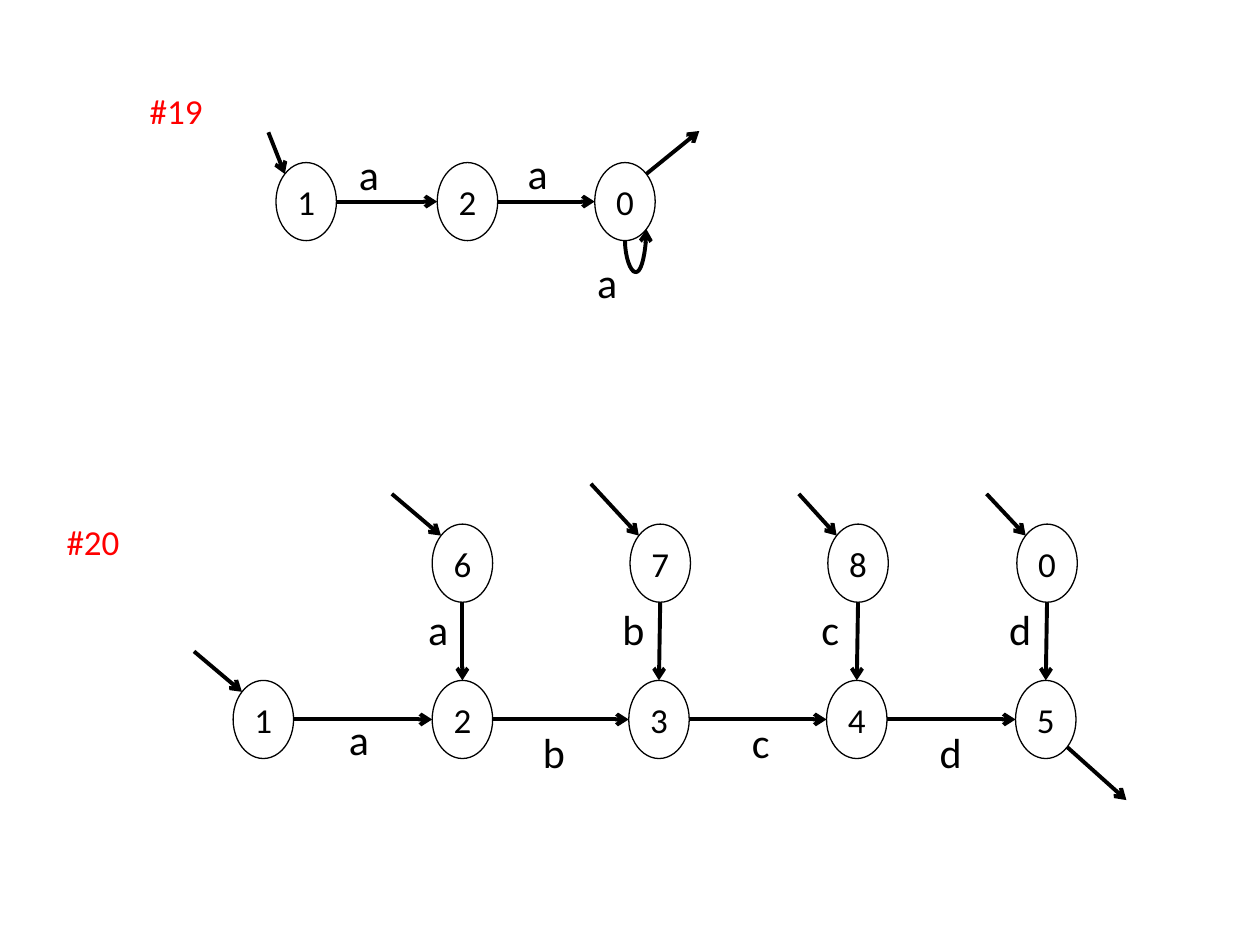
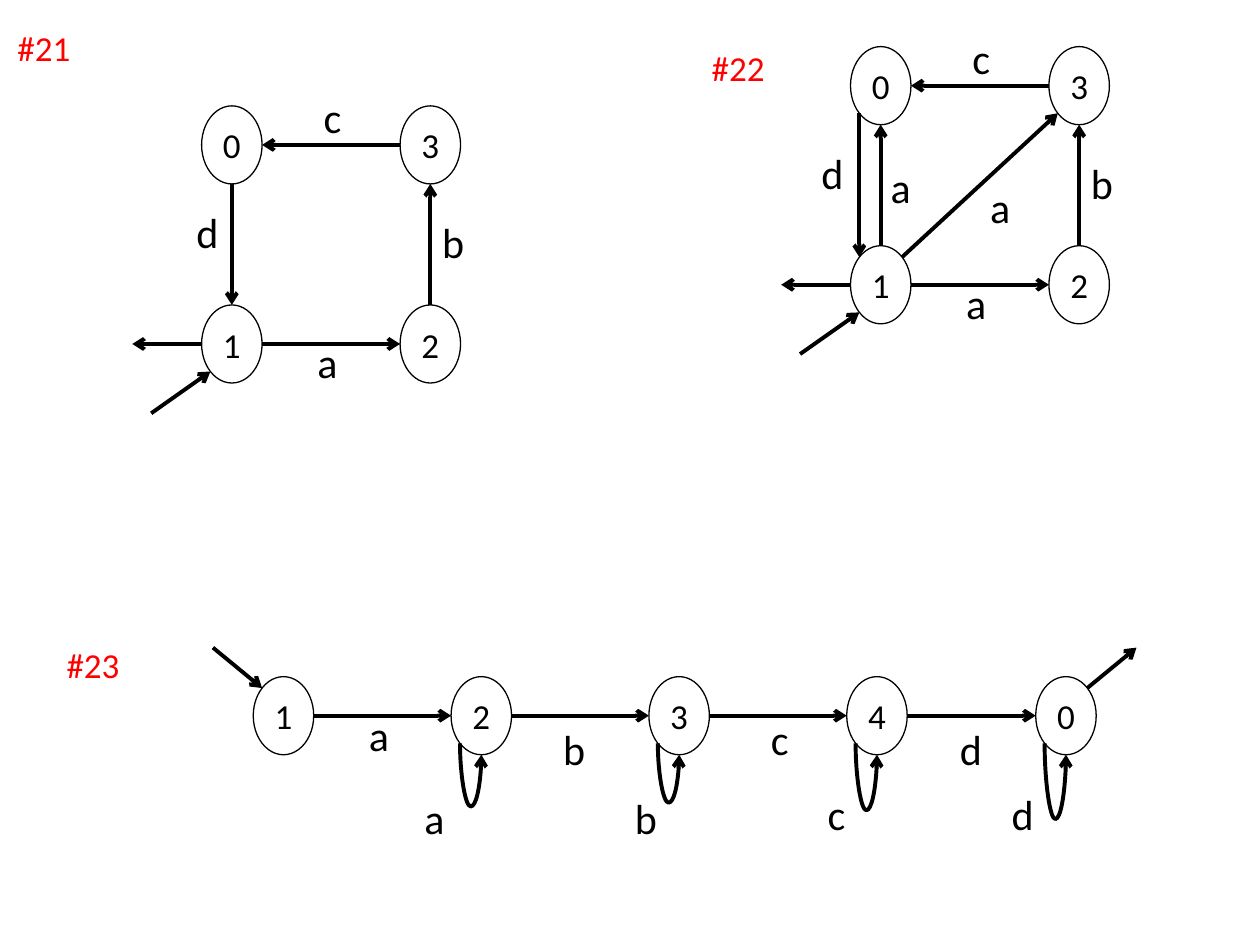
"""Build two slides of finite automaton diagrams."""
from dataclasses import dataclass
from math import cos, radians, sin

from lxml import etree
from pptx import Presentation
from pptx.dml.color import RGBColor
from pptx.enum.shapes import MSO_CONNECTOR, MSO_SHAPE
from pptx.enum.text import MSO_ANCHOR, PP_ALIGN
from pptx.oxml.ns import qn
from pptx.util import Inches, Pt

STRAIGHT, CURVE = MSO_CONNECTOR.STRAIGHT, MSO_CONNECTOR.CURVE
OVAL = MSO_SHAPE.OVAL
MIDDLE = MSO_ANCHOR.MIDDLE
LEFT_ALIGNED, CENTERED = PP_ALIGN.LEFT, PP_ALIGN.CENTER
TOP, TOP_LEFT, LEFT, BOTTOM_LEFT, BOTTOM, BOTTOM_RIGHT, RIGHT, TOP_RIGHT = range(8)


@dataclass(frozen=True)
class Theme:
    """Colours, type sizes and measures shared by the diagrams."""
    font: str = "Calibri"
    ink: RGBColor = RGBColor(0, 0, 0)
    accent: RGBColor = RGBColor(255, 0, 0)
    state_size: int = 20
    title_size: int = 20
    letter_size: int = 24
    outline: float = 0.75
    arrow: float = 2.25
    state_width: float = 0.48
    state_height: float = 0.62


THEME = Theme()
LETTER_WIDTHS = {"a": 0.36, "b": 0.38, "c": 0.34, "d": 0.38}


def format_text(text_frame, text, size, color, alignment):
    """Write one unwrapped line of text in the theme font."""
    text_frame.text = text
    text_frame.word_wrap = False
    paragraph = text_frame.paragraphs[0]
    paragraph.alignment = alignment
    font = paragraph.runs[0].font
    font.name, font.size, font.color.rgb = THEME.font, Pt(size), color


def add_text(shapes, text, left, top, width, height, size, color):
    """Add a single-line text box."""
    box = shapes.add_textbox(Inches(left), Inches(top), Inches(width), Inches(height))
    format_text(box.text_frame, text, size, color, LEFT_ALIGNED)


def add_title(shapes, text, left, top):
    """Add the red number of an exercise."""
    add_text(shapes, text, left, top, 0.63, 0.44, THEME.title_size, THEME.accent)


def add_letters(shapes, letters):
    """Add the letters read along the transitions."""
    for letter, left, top in letters:
        add_text(shapes, letter, left, top, LETTER_WIDTHS[letter], 0.5,
                 THEME.letter_size, THEME.ink)


def add_states(shapes, positions):
    """Add the numbered states and return them by name."""
    states = {}
    for name, (left, top) in positions.items():
        state = shapes.add_shape(OVAL, Inches(left), Inches(top),
                                 Inches(THEME.state_width), Inches(THEME.state_height))
        state.shadow.inherit = False
        state.fill.background()
        state.line.color.rgb = THEME.ink
        state.line.width = Pt(THEME.outline)
        frame = state.text_frame
        frame.margin_left = frame.margin_right = frame.margin_top = frame.margin_bottom = 0
        frame.vertical_anchor = MIDDLE
        format_text(frame, name, THEME.state_size, THEME.ink, CENTERED)
        states[name] = state
    return states


def site_point(state, site):
    """Return a connection site, counted counterclockwise from the top."""
    angle = radians(45 * site)
    return (round(state.left + state.width / 2 * (1 - sin(angle))),
            round(state.top + state.height / 2 * (1 - cos(angle))))


def add_arrow(shapes, kind, begin, end):
    """Add a connector with an open arrowhead at its end."""
    connector = shapes.add_connector(kind, *begin, *end)
    connector.line.color.rgb = THEME.ink
    connector.line.width = Pt(THEME.arrow)
    properties = connector.element.spPr
    etree.SubElement(properties.find(qn("a:ln")), qn("a:tailEnd"), type="arrow")
    etree.SubElement(properties, qn("a:effectLst"))
    return connector


def glue(connector, tag, state, site):
    """Join one end of a connector to a site of a state."""
    joints = next(connector.element.iter(qn("p:cNvCxnSpPr")))
    etree.SubElement(joints, qn(tag), id=str(state.shape_id), idx=str(site))


def add_transitions(shapes, states, transitions):
    """Add straight arrows between pairs of states."""
    for source, source_site, target, target_site in transitions:
        begin, end = states[source], states[target]
        connector = add_arrow(shapes, STRAIGHT, site_point(begin, source_site),
                              site_point(end, target_site))
        glue(connector, "a:stCxn", begin, source_site)
        glue(connector, "a:endCxn", end, target_site)


def add_entries(shapes, states, entries):
    """Add arrows that enter states from outside."""
    for name, site, x, y in entries:
        connector = add_arrow(shapes, STRAIGHT, (Inches(x), Inches(y)),
                              site_point(states[name], site))
        glue(connector, "a:endCxn", states[name], site)


def add_exit(shapes, state, site, x, y):
    """Add the arrow that leaves a final state."""
    connector = add_arrow(shapes, STRAIGHT, site_point(state, site), (Inches(x), Inches(y)))
    glue(connector, "a:stCxn", state, site)


def add_loop(shapes, state, begin_site, end_site, bottom):
    """Add a curved arrow hanging below a state down to a given height."""
    begin_x, begin_y = site_point(state, begin_site)
    end_x, end_y = site_point(state, end_site)
    center_x, center_y = (begin_x + end_x) // 2, (begin_y + end_y) // 2
    turn = 1 if begin_y > end_y else -1
    across, along = turn * (begin_y - center_y), turn * (begin_x - center_x)
    loop = add_arrow(shapes, CURVE, (center_x + across, center_y - along),
                     (center_x - across, center_y + along))
    loop.rotation = 90 * turn % 360 if hasattr(loop, "rotation") else 0
    properties = loop.element.spPr
    properties.find(qn("a:xfrm")).set("rot", str(90 * turn % 360 * 60000))
    bend = round(100000 * (Inches(bottom) - begin_y) / (end_y - begin_y))
    adjustments = next(properties.iter(qn("a:avLst")))
    etree.SubElement(adjustments, qn("a:gd"), name="adj1", fmla=f"val {bend}")
    glue(loop, "a:stCxn", state, begin_site)
    glue(loop, "a:endCxn", state, end_site)


def chain(names):
    """List the left-to-right transitions through a row of states."""
    return [(source, RIGHT, target, LEFT) for source, target in zip(names, names[1:])]


def draw_19(shapes):
    """Draw the row of three states with a loop on the last."""
    add_title(shapes, "#19", 1.09, 0.66)
    states = add_states(shapes, {"1": (2.19, 1.29), "2": (3.47, 1.29), "0": (4.72, 1.29)})
    add_transitions(shapes, states, chain("120"))
    add_entries(shapes, states, [("1", TOP_LEFT, 2.13, 1.05)])
    add_exit(shapes, states["0"], TOP_RIGHT, 5.55, 1.04)
    add_loop(shapes, states["0"], BOTTOM, BOTTOM_RIGHT, 2.16)
    add_letters(shapes, [("a", 2.75, 1.13), ("a", 4.09, 1.12), ("a", 4.64, 1.99)])


def draw_20(shapes):
    """Draw the row of five states fed by four states above."""
    add_title(shapes, "#20", 0.43, 4.08)
    lower = zip("12345", (1.85, 3.43, 4.99, 6.56, 8.06))
    upper = zip("6780", (3.43, 5, 6.57, 8.07))
    positions = {name: (left, 5.4) for name, left in lower}
    positions |= {name: (left, 4.16) for name, left in upper}
    states = add_states(shapes, positions)
    drops = [(source, BOTTOM, target, TOP) for source, target in zip("6780", "2345")]
    add_transitions(shapes, states, chain("12345") + drops)
    add_entries(shapes, states, [
        ("1", TOP_LEFT, 1.54, 5.17), ("6", TOP_LEFT, 3.11, 3.92), ("7", TOP_LEFT, 4.69, 3.84),
        ("8", TOP_LEFT, 6.34, 3.92), ("0", TOP_LEFT, 7.83, 3.92)])
    add_exit(shapes, states["5"], BOTTOM_RIGHT, 8.94, 6.35)
    add_letters(shapes, [(letter, left, 4.74)
                         for letter, left in zip("abcd", (3.3, 4.84, 6.42, 7.91))])
    add_letters(shapes, [("a", 2.67, 5.61), ("b", 4.21, 5.72), ("c", 5.87, 5.64),
                         ("d", 7.36, 5.72)])


def draw_square(shapes, left, top):
    """Draw the part that both square automata share and return its states."""
    right, bottom = left + 1.575, top + 1.58
    states = add_states(shapes, {"0": (left, top), "3": (right, top),
                                 "1": (left, bottom), "2": (right, bottom)})
    add_transitions(shapes, states, [("1", RIGHT, "2", LEFT), ("2", TOP, "3", BOTTOM),
                                     ("3", LEFT, "0", RIGHT)])
    add_entries(shapes, states, [("1", BOTTOM_LEFT, left - 0.4, top + 2.44)])
    add_exit(shapes, states["1"], LEFT, left - 0.55, bottom + THEME.state_height / 2)
    add_letters(shapes, [("a", left + 0.82, top + 1.78), ("b", left + 1.81, top + 0.83),
                         ("c", left + 0.87, top - 0.16)])
    return states


def draw_21(shapes):
    """Draw the square with a single cycle."""
    add_title(shapes, "#21", 0.04, 0.16)
    states = draw_square(shapes, 1.6, 0.84)
    add_transitions(shapes, states, [("0", BOTTOM, "1", TOP)])
    add_letters(shapes, [("d", 1.46, 1.59)])


def draw_22(shapes):
    """Draw the square with a diagonal and a return transition."""
    add_title(shapes, "#22", 5.55, 0.32)
    states = draw_square(shapes, 6.75, 0.37)
    add_transitions(shapes, states, [("0", BOTTOM_LEFT, "1", TOP_LEFT),
                                     ("1", TOP_RIGHT, "3", BOTTOM_LEFT),
                                     ("1", TOP, "0", BOTTOM)])
    add_letters(shapes, [("d", 6.42, 1.12), ("a", 7.76, 1.39), ("a", 6.97, 1.23)])


def draw_23(shapes):
    """Draw the row of five states with four loops."""
    add_title(shapes, "#23", 0.43, 5.06)
    lefts = (2.01, 3.58, 5.15, 6.72, 8.22)
    states = add_states(shapes, {name: (left, 5.37) for name, left in zip("12340", lefts)})
    add_transitions(shapes, states, chain("12340"))
    add_entries(shapes, states, [("1", TOP_LEFT, 1.69, 5.14)])
    add_exit(shapes, states["0"], TOP_RIGHT, 9.02, 5.14)
    for name, bottom in zip("2340", (6.4, 6.37, 6.43, 6.5)):
        add_loop(shapes, states[name], BOTTOM_LEFT, BOTTOM, bottom)
    add_letters(shapes, [("a", 2.83, 5.58), ("b", 4.37, 5.69), ("c", 6.02, 5.61),
                         ("d", 7.52, 5.69), ("a", 3.27, 6.24), ("b", 4.94, 6.24),
                         ("c", 6.47, 6.21), ("d", 7.93, 6.21)])


def main():
    """Build and save the presentation."""
    presentation = Presentation()
    presentation.slide_width, presentation.slide_height = Inches(10), Inches(7.5)
    blank = presentation.slide_layouts[6]
    first_slide = presentation.slides.add_slide(blank)
    draw_19(first_slide.shapes)
    draw_20(first_slide.shapes)
    second_slide = presentation.slides.add_slide(blank)
    draw_21(second_slide.shapes)
    draw_22(second_slide.shapes.add_group_shape().shapes)
    draw_23(second_slide.shapes)
    presentation.save("out.pptx")


if __name__ == "__main__":
    main()
